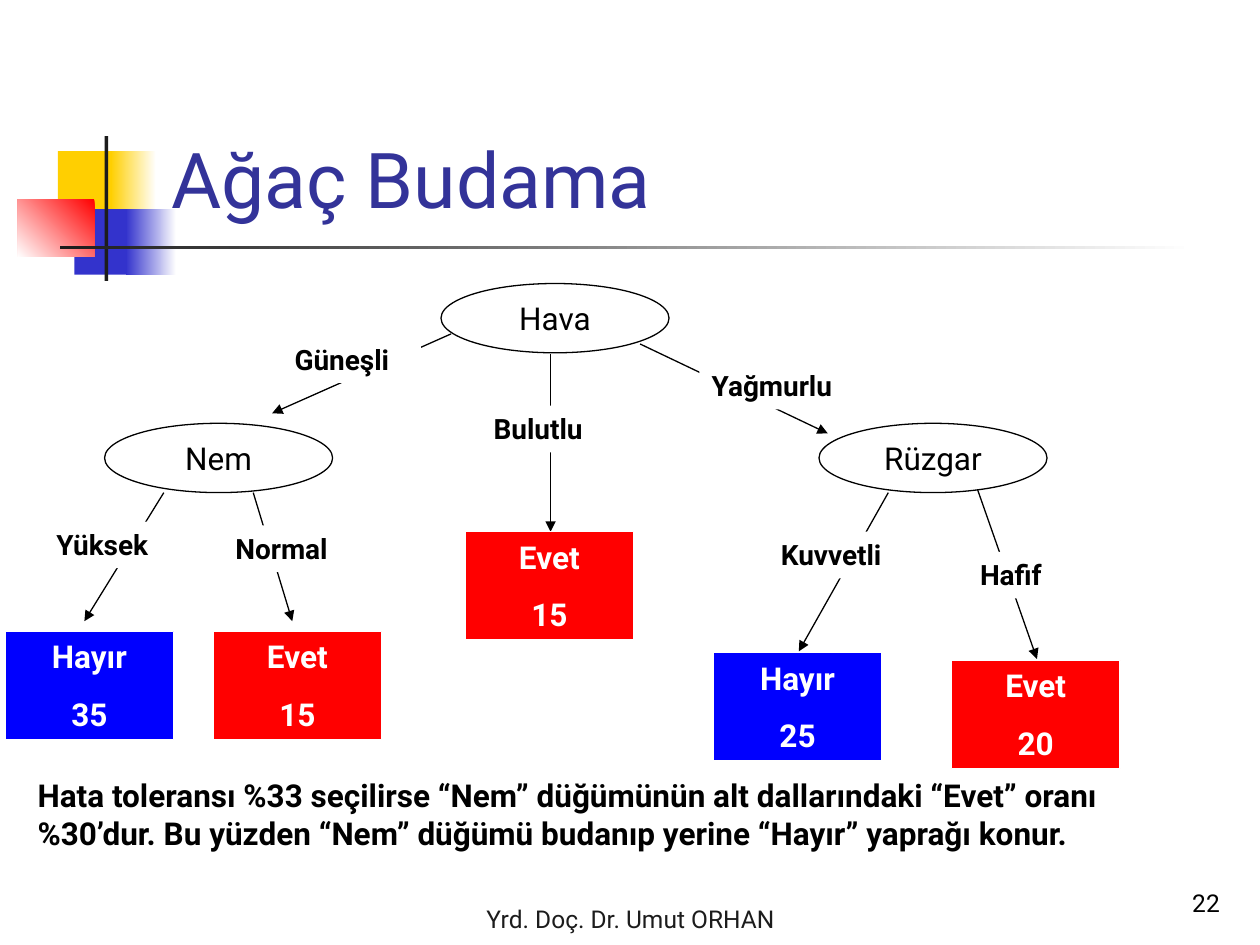
from lxml import etree
from pptx import Presentation
from pptx.dml.color import RGBColor
from pptx.enum.shapes import MSO_CONNECTOR as LINK, MSO_SHAPE as SHAPE
from pptx.enum.text import MSO_ANCHOR as ANCHOR, MSO_AUTO_SIZE as FIT, PP_ALIGN as ALIGN
from pptx.oxml.ns import qn
from pptx.util import Inches, Pt

HEX = {
    "black": "000000", "white": "FFFFFF", "ink": "1C1C1C", "title": "333399",
    "gold": "FFCF01", "navy": "3333CC", "red": "FF0000", "blue": "0000FF",
}
RGB = {name: RGBColor.from_string(code) for name, code in HEX.items()}


def add_box(kind, at, fill=None, line=None):
    box = slide.shapes.add_shape(kind, *map(Inches, at))
    box.shadow.inherit = False
    if fill:
        box.fill.solid()
        box.fill.fore_color.rgb = RGB[fill]
    else:
        box.fill.background()
    if line:
        box.line.color.rgb = RGB[line]
        box.line.width = Pt(0.75)
    else:
        box.line.fill.background()
    return box


def write(box, text, size, color="black", bold=False, align=ALIGN.LEFT,
          anchor=ANCHOR.TOP, gap=0):
    frame = box.text_frame
    frame.word_wrap = True
    frame.auto_size = FIT.NONE
    frame.vertical_anchor = anchor
    frame.text = text
    for para in frame.paragraphs:
        para.alignment = align
        para.space_before = Pt(gap)
        font = para.font
        font.name, font.size, font.bold = "Roboto", Pt(size), bold
        font.color.rgb = RGB[color]


deck = Presentation()
deck.slide_width, deck.slide_height = Inches(10), Inches(7.5)
slide = deck.slides.add_slide(deck.slide_layouts[5])

# Ornament beside the title: one colour is solid, two make a gradient
ornament = [
    ((0.46, 1.2, 0.48, 0.52), ["gold"], 0),
    ((0.88, 1.2, 0.36, 0.52), ["white", "gold"], 180),
    ((0.59, 1.66, 0.46, 0.52), ["navy"], 0),
    ((1, 1.66, 0.4, 0.52), ["white", "navy"], 180),
    ((0.14, 1.58, 0.61, 0.46), ["red", "white"], 225),
    ((0.83, 1.08, 0.03, 1.15), ["ink"], 0),
    ((0.48, 1.95, 9, 0.03), ["white", "ink"], 180),
]
for at, colors, angle in ornament:
    part = add_box(SHAPE.RECTANGLE, at, colors[0])
    if len(colors) == 2:
        part.fill.gradient()
        part.fill.gradient_angle = angle
        for stop, color in zip(part.fill.gradient_stops, colors):
            stop.color.rgb = RGB[color]

# Title, raised above the ornament
title = slide.shapes.title
title.left, title.top = Inches(1.26), Inches(0.23)
title.width, title.height = Inches(8.52), Inches(1.6)
write(title, "Ağaç Budama", 44, "title", anchor=ANCHOR.BOTTOM)
slide.shapes._spTree.append(title._element)

# Decision nodes
for name, x, y in [("Hava", 3.5, 2.25), ("Nem", 0.83, 3.36), ("Rüzgar", 6.5, 3.36)]:
    node = add_box(SHAPE.OVAL, (x, y, 1.81, 0.55), line="black")
    write(node, name, 18, align=ALIGN.CENTER, anchor=ANCHOR.MIDDLE)

# Branches: start, end, label, label place and width
branches = [
    ((3.58, 2.65), (2.16, 3.28), "Güneşli", (2.24, 2.67), 1.1),
    ((5.08, 2.73), (6.57, 3.44), "Yağmurlu", (5.55, 2.88), 1.42),
    ((4.37, 2.81), (4.37, 4.22), "Bulutlu", (3.82, 3.22), 1.1),
    ((1.3, 3.91), (0.67, 4.93), "Yüksek", (0.35, 4.14), 1.1),
    ((2.01, 3.91), (2.32, 4.93), "Normal", (1.77, 4.17), 1.1),
    ((7.05, 3.91), (6.34, 5.17), "Kuvvetli", (6.1, 4.22), 1.26),
    ((7.76, 3.89), (8.23, 5.23), "Hafif", (7.68, 4.38), 1.26),
]
for start, end, text, place, width in branches:
    arrow = slide.shapes.add_connector(LINK.STRAIGHT, *map(Inches, start + end))
    arrow.line.color.rgb = RGB["black"]
    arrow.line.width = Pt(0.75)
    etree.SubElement(arrow.line._get_or_add_ln(), qn("a:tailEnd"), type="triangle")
    etree.SubElement(arrow._element.spPr, qn("a:effectLst"))
    label = add_box(SHAPE.RECTANGLE, (*place, width, 0.37), "white")
    write(label, text, 16, bold=True, gap=10)

# Leaves
leaves = [
    ("Evet", 15, 3.69, 4.22), ("Evet", 20, 7.55, 5.24), ("Evet", 15, 1.69, 5.01),
    ("Hayır", 35, 0.04, 5.01), ("Hayır", 25, 5.66, 5.18),
]
for answer, count, x, y in leaves:
    fill = "red" if answer == "Evet" else "blue"
    leaf = add_box(SHAPE.RECTANGLE, (x, y, 1.34, 0.86), fill, "white")
    write(leaf, f"{answer}\n{count}", 18, "white", True, ALIGN.CENTER, gap=11.2)

# Remark, footer and page number
note = slide.shapes.add_textbox(*map(Inches, (0.2, 6.11, 9.53, 1)))
write(note, "Hata toleransı %33 seçilirse “Nem” düğümünün alt dallarındaki “Evet” oranı "
      "%30’dur. Bu yüzden “Nem” düğümü budanıp yerine “Hayır” yaprağı konur.",
      18, bold=True, gap=11.2)
footer = slide.shapes.add_textbox(*map(Inches, (0.2, 7.12, 9.61, 0.34)))
write(footer, "Yrd. Doç. Dr. Umut ORHAN", 14, "ink", align=ALIGN.CENTER, anchor=ANCHOR.BOTTOM)
page = slide.shapes.add_textbox(*map(Inches, (7.7, 6.83, 2.08, 0.5)))
write(page, "22", 14, align=ALIGN.RIGHT, anchor=ANCHOR.BOTTOM)

deck.save("out.pptx")
